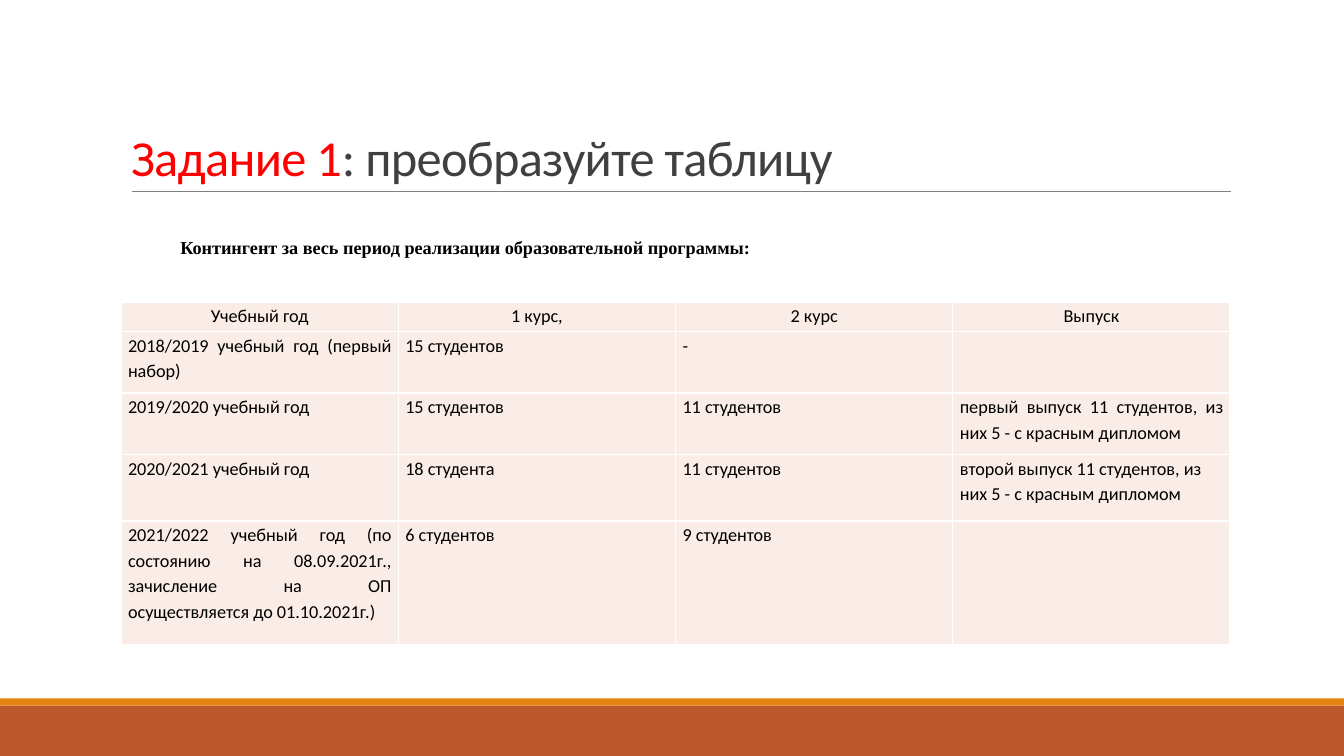
from lxml.etree import SubElement
from pptx import Presentation
from pptx.dml.color import RGBColor
from pptx.enum.shapes import MSO_CONNECTOR, MSO_SHAPE
from pptx.enum.text import MSO_ANCHOR, MSO_AUTO_SIZE, PP_ALIGN
from pptx.oxml.ns import qn
from pptx.util import Inches, Pt

WHITE = RGBColor(0xFF, 0xFF, 0xFF)
BLACK = RGBColor(0, 0, 0)
RED = RGBColor(0xFF, 0, 0)
DARK_GRAY = RGBColor(0x40, 0x40, 0x40)
RULE_GRAY = RGBColor(0x80, 0x80, 0x80)
ORANGE = RGBColor(0xE4, 0x83, 0x12)
RUST = RGBColor(0xBD, 0x58, 0x2C)
PALE_PINK = RGBColor(0xFA, 0xED, 0xE7)

SLIDE_WIDTH, SLIDE_HEIGHT = 13.33, 7.5
LEFT, WIDTH = 1.2, 11
ROW_HEIGHTS = [0.29, 0.61, 0.61, 0.66, 1.23]
ENROLMENT = [
    ["Учебный год", "1 курс,", "2 курс", "Выпуск"],
    ["2018/2019 учебный год (первый набор)", "15 студентов", "-", ""],
    ["2019/2020 учебный год", "15 студентов", "11 студентов",
     "первый выпуск 11 студентов, из них 5 - с красным дипломом"],
    ["2020/2021 учебный год", "18 студента", "11 студентов",
     "второй выпуск 11 студентов, из \nних 5 - с красным дипломом"],
    ["2021/2022 учебный год (по состоянию на 08.09.2021г., "
     "зачисление на ОП осуществляется до 01.10.2021г.)",
     "6 студентов", "9 студентов", ""],
]


def add_footer_bands(page, top, bottom):
    stripe_height = 0.07
    band_top = top + stripe_height
    for y, height, color in [(band_top, bottom - band_top, RUST),
                             (top, stripe_height, ORANGE)]:
        band = page.shapes.add_shape(MSO_SHAPE.RECTANGLE, 0, Inches(y),
                                     Inches(SLIDE_WIDTH), Inches(height))
        band.shadow.inherit = False
        band.fill.solid()
        band.fill.fore_color.rgb = color
        band.line.fill.background()


def add_title(page, left, top, width, height):
    """Fill the title placeholder and draw the rule along its lower edge."""
    title = page.shapes.title
    title.left, title.top = Inches(left), Inches(top)
    title.width, title.height = Inches(width), Inches(height)
    frame = title.text_frame
    frame.word_wrap = True
    frame.auto_size = MSO_AUTO_SIZE.NONE
    frame.vertical_anchor = MSO_ANCHOR.BOTTOM
    para = frame.paragraphs[0]
    para.alignment = PP_ALIGN.LEFT
    para.line_spacing = 0.85
    para.font.size = Pt(36)
    para.font.name = "Calibri"
    for text, color in [("Задание 1", RED),
                        (": преобразуйте таблицу", DARK_GRAY)]:
        span = para.add_run()
        span.text = text
        span.font.color.rgb = color
        span.font._element.set("spc", "-50")

    bottom = Inches(top + height)
    rule = page.shapes.add_connector(MSO_CONNECTOR.STRAIGHT,
                                     Inches(left + 0.11), bottom,
                                     Inches(left + width + 0.01), bottom)
    rule.line.color.rgb = RULE_GRAY
    rule.line.width = Pt(0.5)
    SubElement(rule._element.spPr, qn("a:effectLst"))


def add_caption(page, left, top, width, height):
    box = page.shapes.add_textbox(Inches(left), Inches(top),
                                  Inches(width), Inches(height))
    frame = box.text_frame
    frame.word_wrap = True
    frame.auto_size = MSO_AUTO_SIZE.SHAPE_TO_FIT_TEXT
    frame.vertical_anchor = MSO_ANCHOR.MIDDLE
    para = frame.paragraphs[0]
    para.text = "Контингент за весь период реализации образовательной программы:"
    para.alignment = PP_ALIGN.JUSTIFY
    para._p.get_or_add_pPr().set("indent", str(Inches(0.49)))
    para.font.size = Pt(13)
    para.font.name = "Times New Roman"
    para.font.bold = True
    para.font.color.rgb = BLACK


def style_cell(cell, alignment):
    cell.margin_left = cell.margin_right = Inches(0.07)
    cell.margin_top = cell.margin_bottom = 0
    properties = cell._tc.get_or_add_tcPr()
    for side in ("lnL", "lnR", "lnT", "lnB"):
        border = SubElement(properties, qn(f"a:{side}"), w=str(Pt(1)))
        fill = SubElement(border, qn("a:solidFill"))
        SubElement(fill, qn("a:srgbClr"), val=str(WHITE))
    cell.fill.solid()
    cell.fill.fore_color.rgb = PALE_PINK
    for para in cell.text_frame.paragraphs:
        para.alignment = alignment
        para.line_spacing = 1.15
        para.font.size = Pt(13)
        para.font.name = "Calibri"
        para.font.color.rgb = BLACK


def add_enrolment_table(page, left, top, width):
    columns = len(ENROLMENT[0])
    table = page.shapes.add_table(len(ENROLMENT), columns,
                                  Inches(left), Inches(top), Inches(width),
                                  Inches(sum(ROW_HEIGHTS))).table
    table.first_row = False
    table.horz_banding = False
    for column in table.columns:
        column.width = Inches(width / columns)
    for row_index, texts in enumerate(ENROLMENT):
        table.rows[row_index].height = Inches(ROW_HEIGHTS[row_index])
        alignment = PP_ALIGN.JUSTIFY if row_index else PP_ALIGN.CENTER
        for column_index, text in enumerate(texts):
            cell = table.cell(row_index, column_index)
            cell.text = text
            style_cell(cell, alignment)


def main():
    deck = Presentation()
    deck.slide_width = Inches(SLIDE_WIDTH)
    deck.slide_height = Inches(SLIDE_HEIGHT)
    page = deck.slides.add_slide(deck.slide_layouts[5])
    page.background.fill.solid()
    page.background.fill.fore_color.rgb = WHITE
    add_footer_bands(page, 6.93, SLIDE_HEIGHT)
    add_title(page, LEFT, 0.31, WIDTH, 1.59)
    add_enrolment_table(page, LEFT, 3, WIDTH)
    add_caption(page, LEFT, 2.29, WIDTH, 0.32)
    deck.save("out.pptx")


if __name__ == "__main__":
    main()
